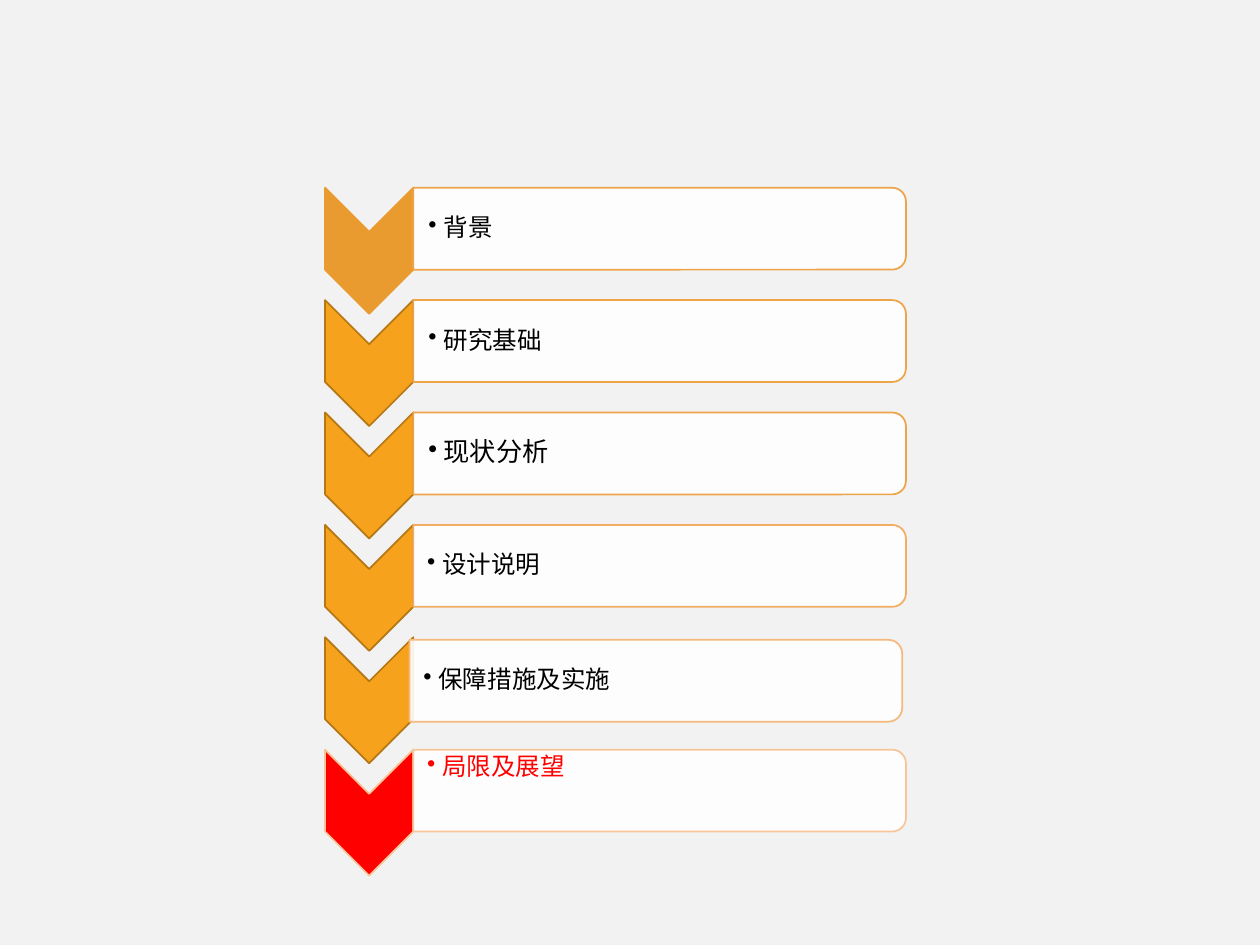
from dataclasses import dataclass

from lxml.etree import SubElement
from pptx import Presentation
from pptx.dml.color import RGBColor
from pptx.enum.shapes import MSO_SHAPE as SHAPE
from pptx.enum.text import MSO_ANCHOR as ANCHOR
from pptx.oxml.ns import qn
from pptx.util import Inches, Pt

# Grid: one agenda item per row, a chevron column and a bar column
TOP, PITCH = 1.49, 0.892
CHEVRON_X, CHEVRON_W, CHEVRON_H = 2.58, 0.7, 1.0
BAR_X, BAR_W, BAR_H = CHEVRON_X + CHEVRON_W, 3.91, 0.65
TEXT_W, TEXT_H = 3.88, 0.59
INDENT = 0.12


@dataclass
class Item:
    text: str
    bar_line: str = "EEA449"
    fill: str = "F6A21D"
    line: str = "B67815"
    size: int = 14
    color: str = "000000"
    inset: float = 0.12
    anchor: ANCHOR = ANCHOR.MIDDLE
    dx: float = 0
    dy: float = 0


ITEMS = [
    Item("背景", fill="E99B2F", line="E99B2F"),
    Item("研究基础"),
    Item("现状分析", size=15),
    Item("设计说明", bar_line="F2AD63", inset=0.11),
    Item("保障措施及实施", bar_line="F5B97D", inset=0.11, dx=-0.03, dy=0.02),
    Item("局限及展望", bar_line="F8C599", fill="FF0000", line="F8C599",
         color="FF0000", inset=0.11, anchor=ANCHOR.TOP),
]


def rgb(color: str) -> RGBColor:
    return RGBColor.from_string(color)


def add_turned(s, kind: SHAPE, x: float, y: float, w: float, h: float,
               fill: str, line: str, alpha: int = 100):
    """Add a shape turned by 90 degrees that covers the given box."""
    sp = s.shapes.add_shape(kind, Inches(x + (w - h) / 2), Inches(y + (h - w) / 2),
                            Inches(h), Inches(w))
    sp.rotation = 90
    sp.shadow.inherit = False
    sp.fill.solid()
    sp.fill.fore_color.rgb = rgb(fill)
    if alpha < 100:
        clr = sp._element.spPr.find(qn("a:solidFill")).find(qn("a:srgbClr"))
        SubElement(clr, qn("a:alpha")).set("val", str(alpha * 1000))
    sp.line.color.rgb = rgb(line)
    sp.line.width = Pt(1)
    return sp


def add_bullet(s, text: str, x: float, y: float, *, size: int, color: str,
               inset: float, anchor: ANCHOR):
    sp = s.shapes.add_textbox(Inches(x), Inches(y), Inches(TEXT_W), Inches(TEXT_H))
    tf = sp.text_frame
    tf.word_wrap = True
    tf.vertical_anchor = anchor
    tf.margin_left = Inches(inset)
    tf.margin_top = tf.margin_right = tf.margin_bottom = Inches(0.01)
    p = tf.paragraphs[0]
    p.level = 1
    p.line_spacing = 0.9
    pPr = p._p.get_or_add_pPr()
    pPr.set("marL", str(Inches(INDENT)))
    pPr.set("indent", str(-Inches(INDENT)))
    SubElement(pPr, qn("a:buChar")).set("char", "•")
    r = p.add_run()
    r.text = text
    r.font.size = Pt(size)
    r.font.name = "Calibri"
    r.font.color.rgb = rgb(color)
    return sp


def add_item(s, row: int, item: Item):
    y = TOP + row * PITCH
    bar_x, bar_y = BAR_X + item.dx, y + item.dy
    add_turned(s, SHAPE.CHEVRON, CHEVRON_X, y, CHEVRON_W, CHEVRON_H,
               item.fill, item.line)
    add_turned(s, SHAPE.ROUND_2_SAME_RECTANGLE, bar_x, bar_y, BAR_W, BAR_H,
               "FFFFFF", item.bar_line, alpha=90)
    add_bullet(s, item.text, bar_x, bar_y + (BAR_H - TEXT_H) / 2, size=item.size,
               color=item.color, inset=item.inset, anchor=item.anchor)


def main():
    prs = Presentation()
    prs.slide_width, prs.slide_height = Inches(10), Inches(7.5)
    s = prs.slides.add_slide(prs.slide_layouts[6])
    s.background.fill.solid()
    s.background.fill.fore_color.rgb = rgb("F2F2F2")
    # Agenda rows, from top to bottom
    for row, item in enumerate(ITEMS):
        add_item(s, row, item)
    prs.save("out.pptx")


if __name__ == "__main__":
    main()
